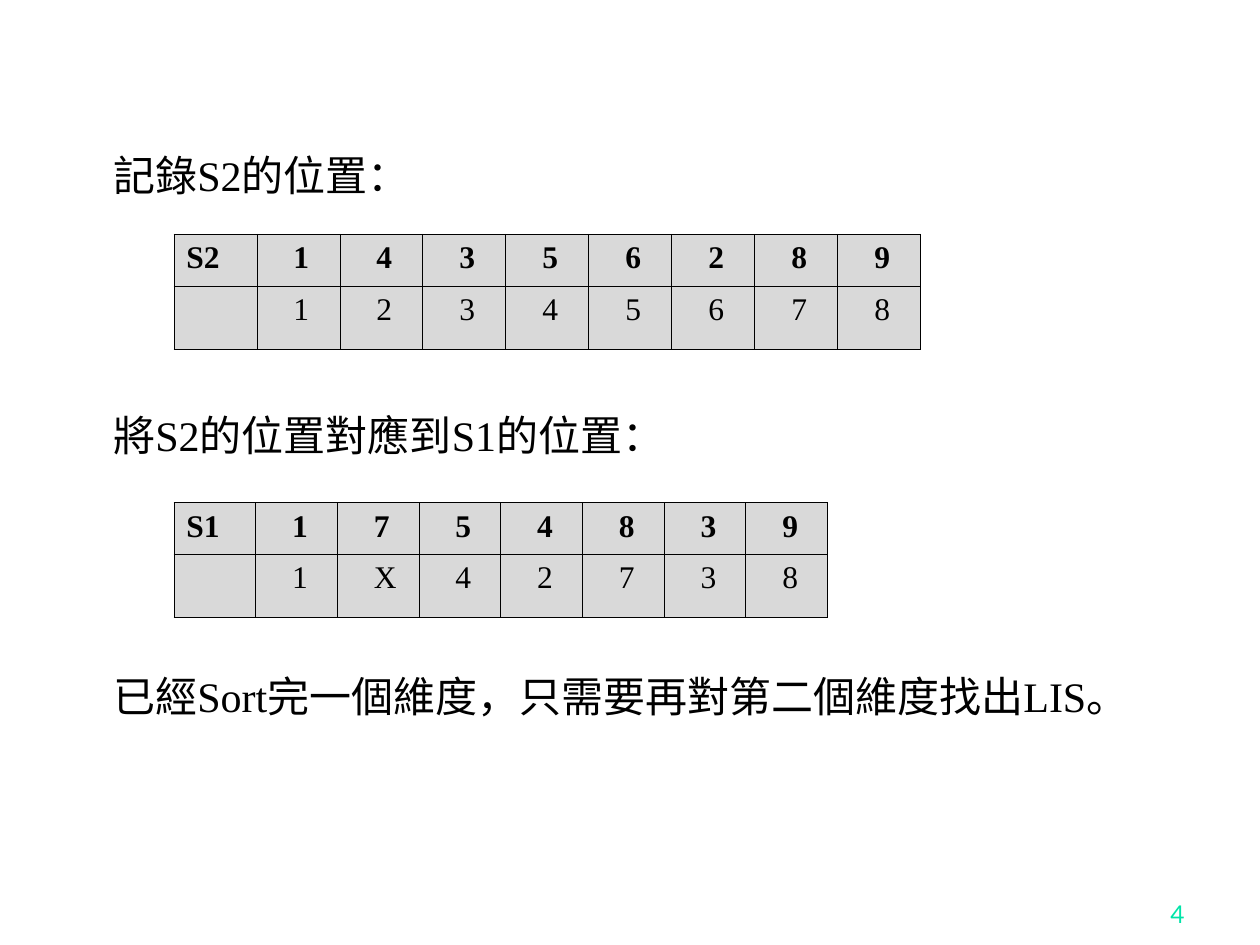
from dataclasses import dataclass

from lxml.etree import SubElement
from pptx import Presentation
from pptx.dml.color import RGBColor
from pptx.enum.text import MSO_ANCHOR, MSO_AUTO_SIZE, PP_ALIGN
from pptx.oxml import parse_xml
from pptx.oxml.ns import nsdecls, qn
from pptx.util import Inches, Pt

SERIF = "Times New Roman"
BLACK, GREY, GREEN = "000000", "D9D9D9", "00E4A8"
BODY_FORMAT = {"size": Pt(24), "name": SERIF}
HEADER_FORMAT = {"size": Pt(18), "name": SERIF, "bold": True}
VALUE_FORMAT = HEADER_FORMAT | {"bold": False}
NUMBER_FORMAT = {"size": Pt(14), "name": "Lato"}
STATEMENTS = (
    "記錄S2的位置：",
    "將S2的位置對應到S1的位置：",
    "已經Sort完一個維度，只需要再對第二個維度找出LIS。",
)


@dataclass
class PositionTable:
    """A sequence with the positions of its items below it."""

    name: str
    items: str
    positions: str
    top: float
    width: float


POSITION_TABLES = (
    PositionTable("S1", "1754839", "1X42738", 3.99, 5.19),
    PositionTable("S2", "14356289", "12345678", 1.86, 5.93),
)


def rgb(color: str) -> RGBColor:
    """Turn a hex string into a colour."""
    return RGBColor.from_string(color)


def add_text(paragraph, text: str, font_format: dict, color: str = BLACK) -> None:
    """Add a formatted run to a paragraph."""
    run = paragraph.add_run()
    run.text = text
    for attribute, value in font_format.items():
        setattr(run.font, attribute, value)
    run.font.color.rgb = rgb(color)


def add_borders(cell) -> None:
    """Draw a thin black line on each side of a cell."""
    properties = cell._tc.get_or_add_tcPr()
    for index, side in enumerate(("lnL", "lnR", "lnT", "lnB")):
        border = parse_xml(
            f'<a:{side} {nsdecls("a")} w="{Pt(0.45)}"><a:solidFill>'
            f'<a:srgbClr val="{BLACK}"/></a:solidFill></a:{side}>'
        )
        properties.insert(index, border)


def fill_body(body) -> None:
    """Place the body and write the statements at equal distances."""
    body.left, body.top = Inches(0.42), Inches(0.75)
    body.width, body.height = Inches(8.83), Inches(6.15)
    frame = body.text_frame
    frame.auto_size = MSO_AUTO_SIZE.NONE
    frame.margin_top = Inches(0.48)
    for index, statement in enumerate(STATEMENTS):
        paragraph = frame.add_paragraph() if index else frame.paragraphs[0]
        properties = paragraph._p.get_or_add_pPr()
        properties.set("marL", str(Inches(0.38)))
        properties.set("indent", "0")
        SubElement(properties, qn("a:buNone"))
        paragraph.line_spacing = 0.9
        paragraph.space_before = Pt(123 if index else 0)
        add_text(paragraph, statement, BODY_FORMAT)


def draw_table(slide, sequence: PositionTable) -> None:
    """Draw one sequence and its positions as a table."""
    rows = ([sequence.name, *sequence.items], ["", *sequence.positions])
    column_count = len(rows[0])
    table = slide.shapes.add_table(
        len(rows), column_count, Inches(1.38), Inches(sequence.top),
        Inches(sequence.width), Inches(0.91),
    ).table
    table.first_row = table.horz_banding = False
    row_formats = ((0.41, HEADER_FORMAT), (0.5, VALUE_FORMAT))
    for row, (height, font_format) in enumerate(row_formats):
        table.rows[row].height = Inches(height)
        for column, entry in enumerate(rows[row]):
            cell = table.cell(row, column)
            cell.margin_left = Inches(0.29 if column else 0.1)
            cell.fill.solid()
            cell.fill.fore_color.rgb = rgb(GREY)
            add_borders(cell)
            if entry:
                add_text(cell.text_frame.paragraphs[0], entry, font_format)


def add_page_number(slide, number: str) -> None:
    """Write the page number in the lower right corner."""
    frame = slide.shapes.add_textbox(
        Inches(7.42), Inches(6.92), Inches(2.08), Inches(0.5)
    ).text_frame
    frame.word_wrap = True
    frame.vertical_anchor = MSO_ANCHOR.BOTTOM
    paragraph = frame.paragraphs[0]
    paragraph.alignment = PP_ALIGN.RIGHT
    add_text(paragraph, number, NUMBER_FORMAT, GREEN)


def main() -> None:
    """Build the slide and save it."""
    presentation = Presentation()
    presentation.slide_width, presentation.slide_height = Inches(10), Inches(7.5)
    slide = presentation.slides.add_slide(presentation.slide_layouts[1])
    title = slide.shapes.title.element
    title.getparent().remove(title)
    add_page_number(slide, "4")
    fill_body(slide.placeholders[1])
    for sequence in POSITION_TABLES:
        draw_table(slide, sequence)
    presentation.save("out.pptx")


if __name__ == "__main__":
    main()
